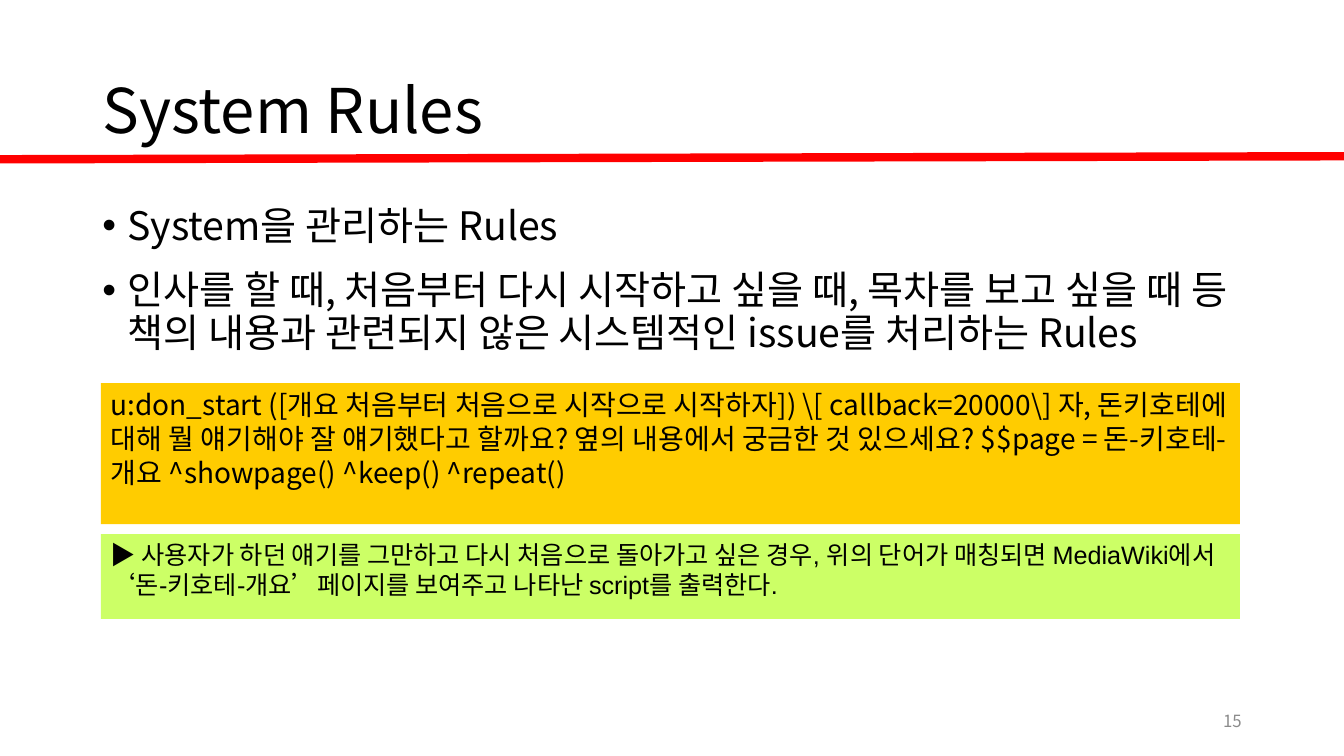
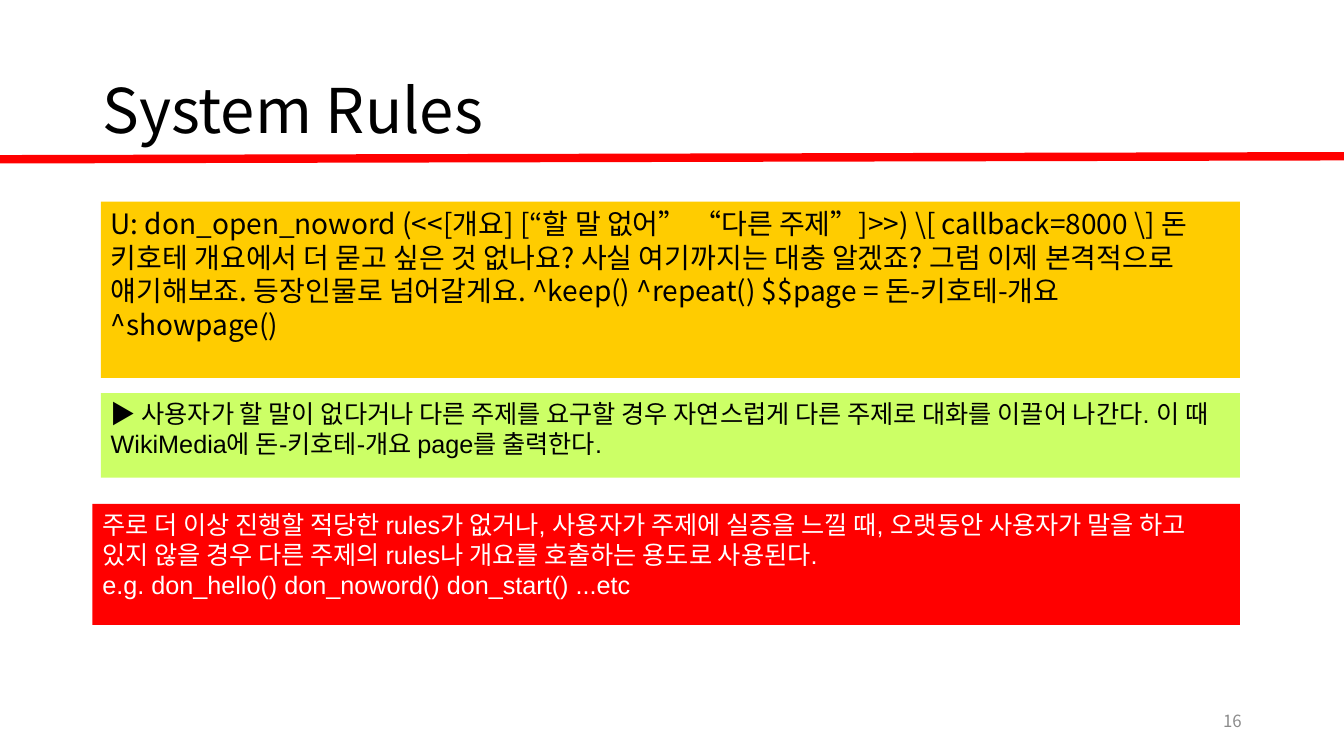
from dataclasses import dataclass

from lxml import etree
from pptx import Presentation
from pptx.dml.color import RGBColor
from pptx.enum.shapes import MSO_CONNECTOR, MSO_SHAPE
from pptx.enum.text import MSO_ANCHOR, PP_ALIGN
from pptx.oxml.ns import qn
from pptx.util import Inches, Pt

LEFT, RIGHT = PP_ALIGN.LEFT, PP_ALIGN.RIGHT
TOP, MIDDLE = MSO_ANCHOR.TOP, MSO_ANCHOR.MIDDLE
RECT, STRAIGHT = MSO_SHAPE.RECTANGLE, MSO_CONNECTOR.STRAIGHT

WIDTH, HEIGHT = Inches(13.33), Inches(7.5)
COLS, ROWS = 160, 150
TEXT_LEFT, TEXT_COLS = 11, 138
BOX_LEFT, BOX_RIGHT = 12, 147.6
NOTE_ROWS = 16.8


@dataclass(frozen=True)
class Theme:
    sans: str = "Noto Sans CJK KR"
    note_font: str = "Arial"
    black: str = "000000"
    white: str = "FFFFFF"
    grey: str = "8B8B8B"
    red: str = "FF0000"
    amber: str = "FFCC00"
    lime: str = "CCFF66"
    title: int = 44
    body: int = 28
    rule: int = 20
    note: int = 18
    number: int = 12


T = Theme()
TITLE = {"size": T.title, "name": T.sans, "color": T.black}
BODY = {"size": T.body, "name": T.sans, "color": T.black}
NUMBER = {"size": T.number, "name": T.sans, "color": T.grey}
RULE = {"size": T.rule, "name": T.sans, "color": T.black}
NOTE = {"size": T.note, "name": T.note_font, "color": T.black}
REMARK = {**NOTE, "color": T.white}


def col(n):
    return round(WIDTH * n / COLS)


def row(n):
    return round(HEIGHT * n / ROWS)


def cells(left, top, width, height):
    return col(left), row(top), col(width), row(height)


def write(sp, lines, style, anchor=TOP, bullet=False, **layout):
    """Fill a shape with paragraphs; layout holds paragraph attributes."""
    tf = sp.text_frame
    tf.word_wrap = True
    tf.vertical_anchor = anchor
    for i, line in enumerate(lines):
        p = tf.add_paragraph() if i else tf.paragraphs[0]
        if bullet:
            add_bullet(p)
        for name, value in {"alignment": LEFT, **layout}.items():
            setattr(p, name, value)
        if bullet and i:
            p.space_before = Pt(15.8)
        r = p.add_run()
        r.text = line
        r.font.size, r.font.name = Pt(style["size"]), style["name"]
        r.font.color.rgb = RGBColor.from_string(style["color"])
        latin = r.font._element.find(qn("a:latin"))
        latin.addnext(latin.makeelement(qn("a:ea"), {"typeface": T.sans}))


def add_bullet(p):
    pPr = p._p.get_or_add_pPr()
    for name, value in {"marL": Inches(0.25), "indent": -Inches(0.25)}.items():
        pPr.set(name, str(int(value)))
    etree.SubElement(pPr, qn("a:buFont"), typeface="Arial")
    etree.SubElement(pPr, qn("a:buChar"), char="•")


def add_text(s, area, lines, style, **options):
    write(s.shapes.add_textbox(*cells(*area)), lines, style, **options)


def add_box(s, top, height, fill, lines, style, left=BOX_LEFT):
    sp = s.shapes.add_shape(RECT, *cells(left, top, BOX_RIGHT - left, height))
    sp.shadow.inherit = False
    sp.fill.solid()
    sp.fill.fore_color.rgb = RGBColor.from_string(fill)
    sp.line.fill.background()
    write(sp, lines, style)


def add_divider(s):
    line = s.shapes.add_connector(STRAIGHT, 0, row(31.6), WIDTH, row(31))
    line.line.color.rgb = RGBColor.from_string(T.red)
    line.line.width = Pt(6)
    etree.SubElement(line._element.spPr, qn("a:effectLst"))


def add_slide(prs, title, number):
    s = prs.slides.add_slide(prs.slide_layouts[6])
    add_text(s, (TEXT_LEFT, 8, TEXT_COLS, 29), [title], TITLE,
             anchor=MIDDLE, line_spacing=0.9)
    add_text(s, (113, 139, 36, 8), [str(number)], NUMBER,
             anchor=MIDDLE, alignment=RIGHT)
    add_divider(s)
    return s


def restart_slide(prs):
    s = add_slide(prs, "System Rules", 15)
    add_text(s, (TEXT_LEFT, 40, TEXT_COLS, 95), [
        "System을 관리하는 Rules",
        "인사를 할 때, 처음부터 다시 시작하고 싶을 때, 목차를 보고 싶을 때 "
        "등 책의 내용과 관련되지 않은 시스템적인 issue를 처리하는 Rules",
    ], BODY, bullet=True, line_spacing=0.9)
    add_box(s, 76, 28, T.amber, [
        r"u:don_start ([개요 처음부터 처음으로 시작으로 시작하자]) "
        r"\[ callback=20000\] 자, 돈키호테에 대해 뭘 얘기해야 잘 얘기했다고 "
        "할까요? 옆의 내용에서 궁금한 것 있으세요? "
        "$$page = 돈-키호테-개요 ^showpage() ^keep() ^repeat()",
    ], RULE)
    add_box(s, 106, NOTE_ROWS, T.lime, [
        "▶ 사용자가 하던 얘기를 그만하고 다시 처음으로 돌아가고 싶은 경우, "
        "위의 단어가 매칭되면 MediaWiki에서 ‘돈-키호테-개요’페이지를 "
        "보여주고 나타난 script를 출력한다.",
    ], NOTE)


def no_word_slide(prs):
    s = add_slide(prs, "System Rules", 16)
    add_box(s, 40, 35, T.amber, [
        "U: don_open_noword (<<[개요] [“할 말 없어” “다른 주제”]>>) "
        r"\[ callback=8000 \] 돈 키호테 개요에서 더 묻고 싶은 것 없나요? "
        "사실 여기까지는 대충 알겠죠? 그럼 이제 본격적으로 얘기해보죠. "
        "등장인물로 넘어갈게요. ^keep() ^repeat() "
        "$$page = 돈-키호테-개요 ^showpage()",
    ], RULE)
    add_box(s, 78, NOTE_ROWS, T.lime, [
        "▶ 사용자가 할 말이 없다거나 다른 주제를 요구할 경우 자연스럽게 "
        "다른 주제로 대화를 이끌어 나간다. 이 때 WikiMedia에 "
        "돈-키호테-개요 page를 출력한다.",
    ], NOTE)
    add_box(s, 100, 24, T.red, [
        "주로 더 이상 진행할 적당한 rules가 없거나, 사용자가 주제에 실증을 "
        "느낄 때, 오랫동안 사용자가 말을 하고 있지 않을 경우 다른 주제의 "
        "rules나 개요를 호출하는 용도로 사용된다.",
        "e.g. don_hello() don_noword() don_start() ...etc",
    ], REMARK, left=TEXT_LEFT)


def main():
    prs = Presentation()
    prs.slide_width, prs.slide_height = WIDTH, HEIGHT
    restart_slide(prs)
    no_word_slide(prs)
    prs.save("out.pptx")


if __name__ == "__main__":
    main()
